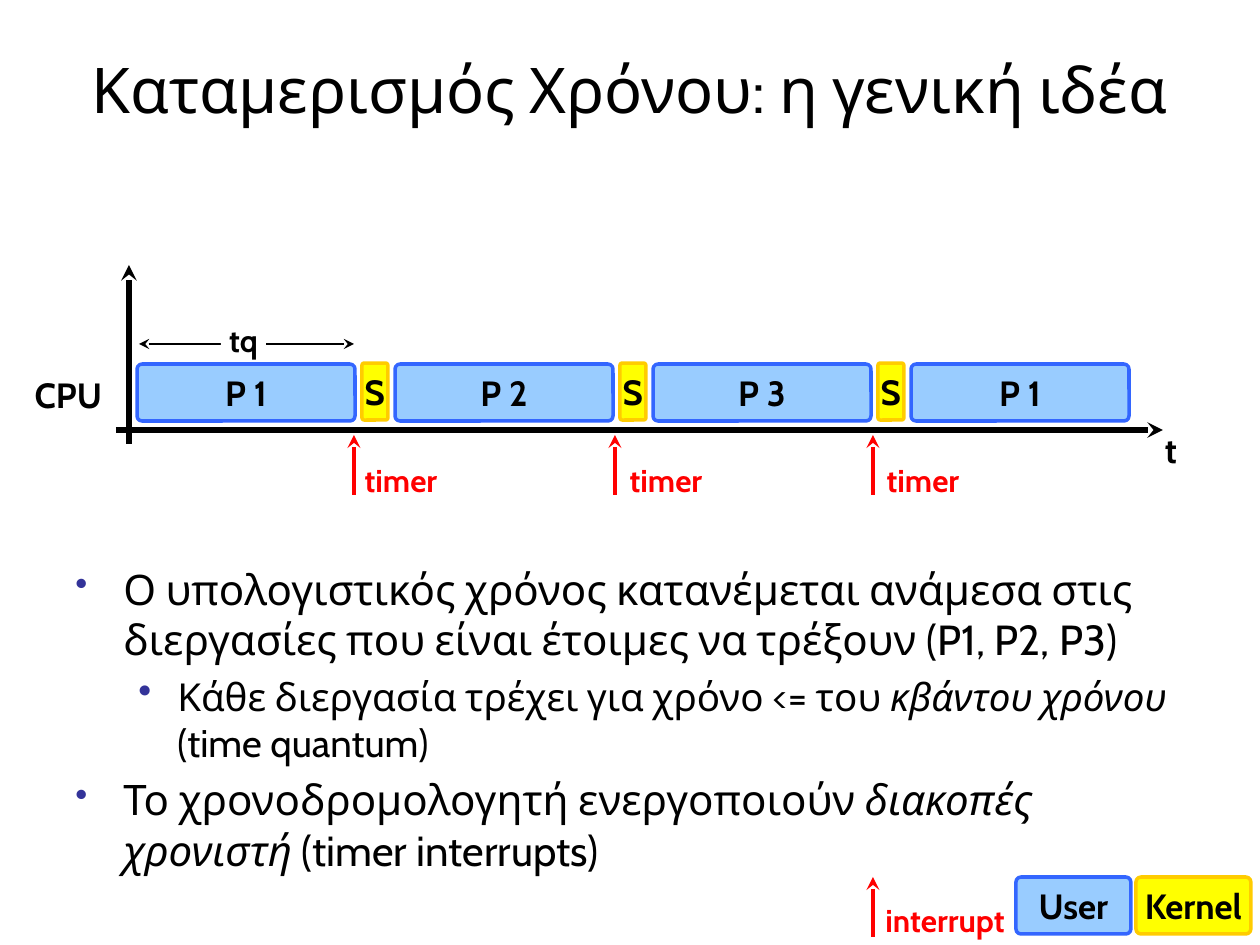
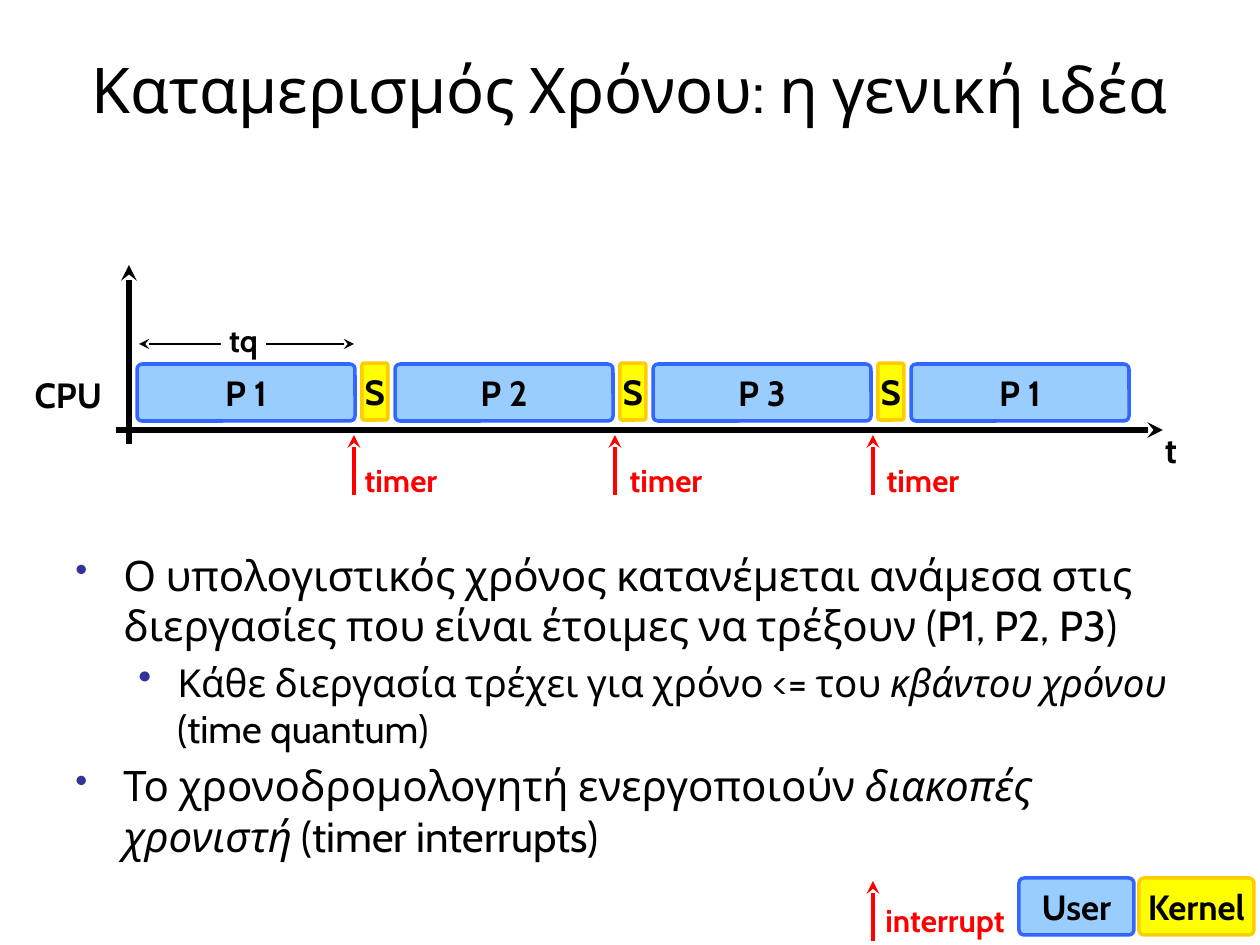
from dataclasses import dataclass

from lxml.etree import SubElement
from pptx import Presentation
from pptx.dml.color import RGBColor
from pptx.enum.shapes import MSO_CONNECTOR as CONN, MSO_SHAPE as SHAPE
from pptx.enum.text import MSO_ANCHOR as ANCHOR, MSO_AUTO_SIZE as AUTO, PP_ALIGN as ALIGN
from pptx.oxml.ns import qn
from pptx.util import Emu, Pt

# Shared look
PX_PER_INCH = 126
FONT = "Cabin"
BLACK, WHITE, RED, BULLET = "000000", "FFFFFF", "FF0000", "333399"
TITLE = "Καταμερισμός Χρόνου: η γενική ιδέα"


@dataclass(frozen=True)
class Mode:
    fill: str
    line: str


@dataclass(frozen=True)
class Level:
    size: int
    margin: int
    hang: int
    bullet_pct: int


@dataclass(frozen=True)
class Bullet:
    level: int
    runs: tuple[tuple[str, bool], ...]  # text, italic


@dataclass(frozen=True)
class Page:
    body_top: int
    legend_left: int
    legend_top: int
    arrow_top: int


USER = Mode("99CCFF", "3366FF")
KERNEL = Mode("FFFF00", "FFCC00")
LEVELS = (Level(24, 48, 48, 85), Level(22, 102, 39, 100))
BULLETS = (
    Bullet(0, (("Ο υπολογιστικός χρόνος κατανέμεται ανάμεσα στις διεργασίες "
                "που είναι έτοιμες να τρέξουν (P1, P2, P3)", False),)),
    Bullet(1, (("Κάθε διεργασία τρέχει για χρόνο <= του ", False),
               ("κβάντου χρόνου ", True), ("(time quantum)", False))),
    Bullet(0, (("Το χρονοδρομολογητή ενεργοποιούν ", False),
               ("διακοπές χρονιστή", True), (" (timer interrupts)", False))),
)
PAGES = (Page(557, 1016, 877, 877), Page(543, 1019, 878, 881))

# Timeline geometry
PROCESSES = ("P 1", "P 2", "P 3", "P 1")
SLOT_LEFT, SLOT_PITCH, SLOT_WIDTH = 137, 258, 218
SWITCH_LEFT, SWITCH_WIDTH = 362, 26
BAR_TOP, BAR_HEIGHT = 364, 57
TIMERS = ((354, 351), (615, 616), (873, 873))  # arrow x, label left
ARROW_HEIGHT = 60
LEGEND_WIDTH, LEGEND_PITCH = 115, 120


def px(n: int) -> Emu:
    return Emu(round(n * 914400 / PX_PER_INCH))


def rgb(color: str) -> RGBColor:
    return RGBColor.from_string(color)


def add_run(p, text: str, *, size: int = 20, bold: bool = False,
            italic: bool = False, color: str = BLACK) -> None:
    r = p.add_run()
    r.text = text
    f = r.font
    f.name, f.size, f.bold, f.italic = FONT, Pt(size), bold, italic
    f.color.rgb = rgb(color)


def add_label(s, text: str, left: int, top: int, width: int, height: int, *,
              align=ALIGN.CENTER, fill: str | None = None, **fmt) -> None:
    sp = s.shapes.add_textbox(px(left), px(top), px(width), px(height))
    if fill:
        sp.fill.solid()
        sp.fill.fore_color.rgb = rgb(fill)
    tf = sp.text_frame
    tf.word_wrap = True
    tf.margin_left = tf.margin_right = tf.margin_top = tf.margin_bottom = 0
    p = tf.paragraphs[0]
    p.alignment = align
    add_run(p, text, bold=True, **fmt)


def add_block(s, text: str, left: int, top: int, width: int, mode: Mode) -> None:
    sp = s.shapes.add_shape(SHAPE.ROUNDED_RECTANGLE, px(left), px(top), px(width), px(BAR_HEIGHT))
    sp.adjustments[0] = 0.09
    sp.shadow.inherit = False
    sp.fill.solid()
    sp.fill.fore_color.rgb = rgb(mode.fill)
    sp.line.color.rgb = rgb(mode.line)
    sp.line.width = Pt(2)
    tf = sp.text_frame
    tf.word_wrap = False
    tf.vertical_anchor = ANCHOR.MIDDLE
    p = tf.paragraphs[0]
    p.alignment = ALIGN.CENTER
    add_run(p, text, bold=True)


def add_arrow(s, x1: int, y1: int, x2: int, y2: int, *, color: str = BLACK,
              width: float = 3, double: bool = False) -> None:
    c = s.shapes.add_connector(CONN.STRAIGHT, px(x1), px(y1), px(x2), px(y2))
    c.line.color.rgb = rgb(color)
    c.line.width = Pt(width)
    ln = c.line._get_or_add_ln()
    for end in ("a:headEnd", "a:tailEnd") if double else ("a:tailEnd",):
        SubElement(ln, qn(end), type="stealth")
    SubElement(c._element.spPr, qn("a:effectLst"))


def add_interrupt(s, x: int, top: int) -> None:
    add_arrow(s, x, top + ARROW_HEIGHT, x, top, color=RED, width=2.5)


def add_title(s) -> None:
    sp = s.shapes.title
    sp.left, sp.top, sp.width, sp.height = px(63), px(38), px(1134), px(101)
    tf = sp.text_frame
    tf.auto_size = AUTO.NONE
    tf.vertical_anchor = ANCHOR.MIDDLE
    p = tf.paragraphs[0]
    p.alignment = ALIGN.CENTER
    add_run(p, TITLE, size=36)


def add_timeline(s) -> None:
    # Axes
    add_arrow(s, 129, 444, 129, 265)
    add_arrow(s, 116, 430, 1163, 430)
    add_label(s, "t", 1139, 428, 38, 42, align=ALIGN.RIGHT)
    add_label(s, "CPU", 29, 373, 73, 42, align=ALIGN.RIGHT)

    # Process slots, with a scheduler switch between neighbours
    for i, name in enumerate(PROCESSES):
        add_block(s, name, SLOT_LEFT + i * SLOT_PITCH, BAR_TOP, SLOT_WIDTH, USER)
    for i in range(len(PROCESSES) - 1):
        add_block(s, "S", SWITCH_LEFT + i * SLOT_PITCH, BAR_TOP - 1, SWITCH_WIDTH, KERNEL)

    # Time quantum
    add_arrow(s, 139, 344, 354, 344, width=1.5, double=True)
    add_label(s, "tq", 221, 321, 45, 38, fill=WHITE, size=18)

    # Timer interrupts
    for x, label_left in TIMERS:
        add_interrupt(s, x, 435)
        add_label(s, "timer", label_left, 461, 100, 38, size=18, color=RED)


def add_body(s, top: int) -> None:
    sp = s.shapes.add_textbox(px(63), px(top), px(1134), px(338))
    tf = sp.text_frame
    tf.word_wrap = True
    for i, item in enumerate(BULLETS):
        p = tf.add_paragraph() if i else tf.paragraphs[0]
        lv = LEVELS[item.level]
        p.level = item.level
        p.space_before = Pt(5 if i else 0)
        pPr = p._p.get_or_add_pPr()
        pPr.set("marL", str(px(lv.margin)))
        pPr.set("indent", str(-px(lv.hang)))
        SubElement(SubElement(pPr, qn("a:buClr")), qn("a:srgbClr"), val=BULLET)
        SubElement(pPr, qn("a:buSzPct"), val=str(lv.bullet_pct * 1000))
        SubElement(pPr, qn("a:buChar"), char="•")
        for text, italic in item.runs:
            add_run(p, text, size=lv.size, italic=italic)


def add_legend(s, page: Page) -> None:
    for i, (name, mode) in enumerate((("User", USER), ("Kernel", KERNEL))):
        add_block(s, name, page.legend_left + i * LEGEND_PITCH, page.legend_top,
                  LEGEND_WIDTH, mode)
    add_interrupt(s, 873, page.arrow_top)
    add_label(s, "interrupt", 881, 901, 128, 38, size=18, color=RED)


def main() -> None:
    prs = Presentation()
    prs.slide_width, prs.slide_height = px(1260), px(945)
    for page in PAGES:
        s = prs.slides.add_slide(prs.slide_layouts[5])  # title only
        add_title(s)
        add_timeline(s)
        add_body(s, page.body_top)
        add_legend(s, page)
    prs.save("out.pptx")


if __name__ == "__main__":
    main()
